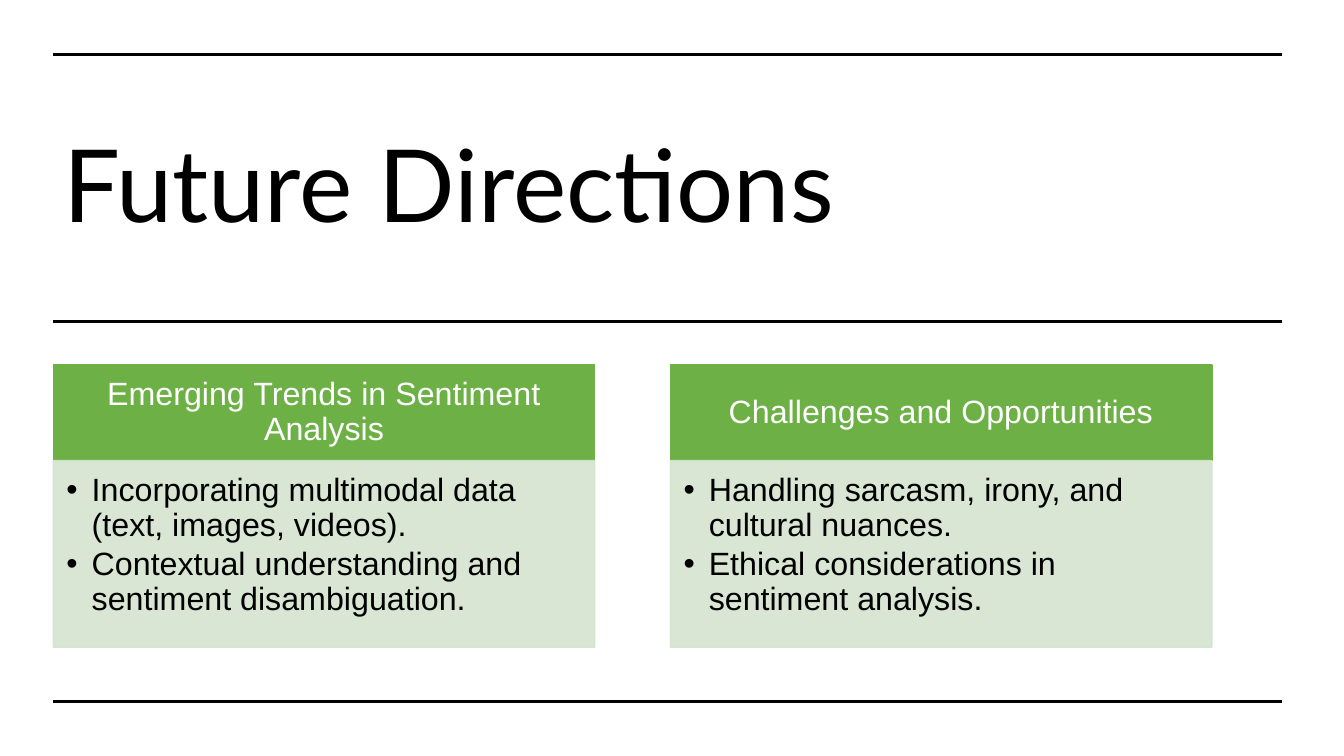
from lxml import etree
from pptx import Presentation
from pptx import util as u
from pptx.dml.color import RGBColor
from pptx.enum import shapes, text
from pptx.oxml.ns import qn

COLORS = {"ink": "000000", "paper": "FFFFFF", "header": "6DB146", "body": "D4E4CF"}
LEFT, RIGHT = 0.53, 12.72
RULES = (0.54, 3.19, 6.96)
CARD_W, CARD_H, CARD_PITCH = 5.37, 2.8, 6.12
CARDS = [
    ("Emerging Trends in Sentiment Analysis",
     ["Incorporating multimodal data (text, images, videos).",
      "Contextual understanding and sentiment disambiguation."]),
    ("Challenges and Opportunities",
     ["Handling sarcasm, irony, and cultural nuances.",
      "Ethical considerations in sentiment analysis."]),
]


def rgb(name):
    """Return the named palette colour."""
    return RGBColor.from_string(COLORS[name])


def add_bullet(p, indent):
    """Give a paragraph a hanging bullet."""
    pPr = p._p.get_or_add_pPr()
    pPr.set("marL", str(u.Inches(indent)))
    pPr.set("indent", str(-u.Inches(indent)))
    etree.SubElement(pPr, qn("a:buFont")).set("typeface", "Arial")
    etree.SubElement(pPr, qn("a:buChar")).set("char", "•")


def write(sp, lines, size=23, font="Arial", color="ink", align=text.PP_ALIGN.LEFT,
          anchor=text.MSO_ANCHOR.MIDDLE, insets=(0.1, 0.05, 0.1, 0.05),
          spacing=0.9, after=0, bullet=False):
    """Fill a shape with formatted paragraphs."""
    tf = sp.text_frame
    tf.word_wrap = True
    tf.vertical_anchor = anchor
    tf.margin_left, tf.margin_top, tf.margin_right, tf.margin_bottom = map(u.Inches, insets)
    for i, line in enumerate(lines):
        p = tf.paragraphs[0] if i == 0 else tf.add_paragraph()
        p.alignment = align
        p.line_spacing = spacing
        p.space_after = u.Pt(after)
        if bullet:
            add_bullet(p, 0.25)
        r = p.add_run()
        r.text = line
        r.font.size = u.Pt(size)
        r.font.name = font
        r.font.color.rgb = rgb(color)


def add_panel(s, x, y, w, h, color, opacity=100):
    """Add a rectangle with matching fill and outline."""
    sp = s.shapes.add_shape(shapes.MSO_SHAPE.RECTANGLE, *map(u.Inches, (x, y, w, h)))
    sp.shadow.inherit = False
    sp.fill.solid()
    sp.fill.fore_color.rgb = rgb(color)
    sp.line.color.rgb = rgb(color)
    sp.line.width = u.Pt(1)
    if opacity < 100:
        for clr in sp._element.spPr.iter(qn("a:srgbClr")):
            etree.SubElement(clr, qn("a:alpha")).set("val", str(opacity * 1000))
    return sp


def add_rule(s, x1, x2, y):
    """Add a horizontal rule."""
    line = s.shapes.add_connector(shapes.MSO_CONNECTOR.STRAIGHT,
                                  *map(u.Inches, (x1, y, x2, y)))
    line.line.color.rgb = rgb("ink")
    line.line.width = u.Pt(2.25)
    etree.SubElement(line._element.spPr, qn("a:effectLst"))


def add_title(s, x, y, w, h, title):
    """Add the slide title."""
    sp = s.shapes.add_textbox(*map(u.Inches, (x, y, w, h)))
    write(sp, [title], size=72, font="Lato")


def add_card(s, x, y, w, h, heading, points):
    """Add a heading panel above a bulleted panel."""
    head_h = 0.95
    write(add_panel(s, x, y, w, head_h, "header"), [heading], color="paper",
          align=text.PP_ALIGN.CENTER, insets=(0.18, 0.1, 0.18, 0.1))
    write(add_panel(s, x, y + head_h, w, h - head_h, "body", opacity=90), points,
          anchor=text.MSO_ANCHOR.TOP, insets=(0.13, 0.13, 0.18, 0.2),
          after=3, bullet=True)


def main():
    """Build and save the slide."""
    prs = Presentation()
    prs.slide_width, prs.slide_height = u.Inches(13.33), u.Inches(7.5)
    s = prs.slides.add_slide(prs.slide_layouts[6])
    add_title(s, LEFT, 1.07, 9.2, 1.63, "Future Directions")
    for y in RULES:
        add_rule(s, LEFT, RIGHT, y)
    for i, (heading, points) in enumerate(CARDS):
        add_card(s, LEFT + i * CARD_PITCH, 3.62, CARD_W, CARD_H, heading, points)
    prs.save("out.pptx")


if __name__ == "__main__":
    main()
